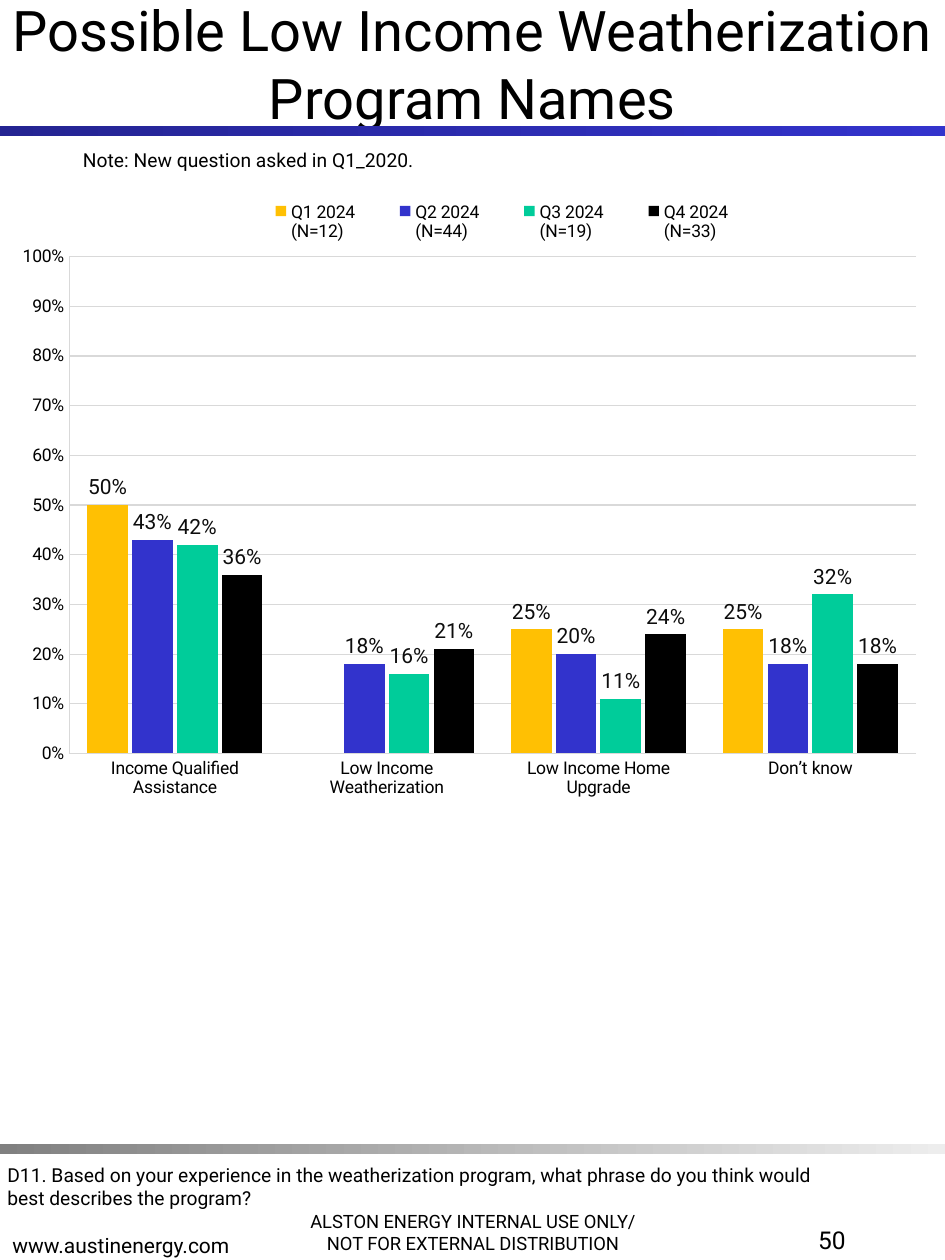
from pptx import Presentation
from pptx.chart.data import CategoryChartData
from pptx.dml.color import RGBColor
from pptx.enum.chart import XL_CHART_TYPE as ChartType
from pptx.enum.chart import XL_LABEL_POSITION as LabelPosition
from pptx.enum.chart import XL_LEGEND_POSITION as LegendPosition
from pptx.enum.chart import XL_TICK_MARK as TickMark
from pptx.enum.shapes import MSO_SHAPE as Shape
from pptx.enum.text import MSO_ANCHOR as Anchor
from pptx.enum.text import MSO_AUTO_SIZE as AutoSize
from pptx.enum.text import PP_ALIGN as Align
from pptx.oxml import parse_xml
from pptx.oxml.ns import nsdecls
from pptx.util import Inches, Pt

FONT = "Roboto"
COLORS = {
    "text": "000000", "label": "0D0D0D", "grid": "D9D9D9",
    "navy": "242492", "blue": "3333CC", "gray": "808080", "pale": "EDEDED",
    "Q1": "FFC003", "Q2": "3233CC", "Q3": "00CC9A", "Q4": "000000",
}


def style_font(font, size, color="text"):
    font.name = FONT
    font.size = Pt(size)
    font.color.rgb = RGBColor.from_string(COLORS[color])


def manual_layout(x, y, width, height, target=""):
    """Chart layout element, in fractions of the chart area."""
    return parse_xml(
        f'<c:layout {nsdecls("c")}><c:manualLayout>{target}'
        '<c:xMode val="edge"/><c:yMode val="edge"/>'
        f'<c:x val="{x}"/><c:y val="{y}"/><c:w val="{width}"/><c:h val="{height}"/>'
        '</c:manualLayout></c:layout>')


deck = Presentation()
deck.slide_width, deck.slide_height = Inches(7.5), Inches(10)
page = deck.slides.add_slide(deck.slide_layouts[5])

# Gradient rules under the title and above the footer
for top, start, end in [(1, "navy", "blue"), (9.08, "gray", "pale")]:
    rule = page.shapes.add_shape(Shape.RECTANGLE, 0, Inches(top), Inches(7.5), Inches(0.08))
    rule.shadow.inherit = False
    rule.line.fill.background()
    rule.fill.gradient()
    rule.fill.gradient_angle = 0
    for stop, color in zip(rule.fill.gradient_stops, (start, end)):
        stop.color.rgb = RGBColor.from_string(COLORS[color])

# Title
title = page.shapes.title
title.left, title.top, title.width, title.height = 0, 0, Inches(7.5), Inches(1)
title.text_frame.word_wrap = True
title.text_frame.auto_size = AutoSize.NONE
title.text_frame.vertical_anchor = Anchor.MIDDLE
para = title.text_frame.paragraphs[0]
para.alignment = Align.CENTER
span = para.add_run()
span.text = "Possible Low Income Weatherization Program Names"
style_font(span.font, 32)

# Footer, page number, question and note
texts = [
    (2.16, 9.33, 3.19, 0.67, 10.5, Align.CENTER, Anchor.BOTTOM,
     ["ALSTON ENERGY INTERNAL USE ONLY/", "NOT FOR EXTERNAL DISTRIBUTION"]),
    (0, 9.36, 3.19, 0.67, 12, Align.LEFT, Anchor.BOTTOM, ["www.austinenergy.com"]),
    (5.25, 9.67, 1.56, 0.67, 14, Align.RIGHT, Anchor.TOP, ["50"]),
    (-0.04, 9.18, 6.85, 0.47, 11, Align.LEFT, Anchor.TOP,
     ["D11. Based on your experience in the weatherization program, "
      "what phrase do you think would best describes the program?"]),
    (0.56, 1.13, 6.44, 0.29, 11, Align.LEFT, Anchor.TOP,
     ["Note: New question asked in Q1_2020."]),
]
for left, top, width, height, size, align, anchor, lines in texts:
    box = page.shapes.add_textbox(Inches(left), Inches(top), Inches(width), Inches(height))
    frame = box.text_frame
    frame.word_wrap = True
    frame.vertical_anchor = anchor
    for index, line in enumerate(lines):
        para = frame.add_paragraph() if index else frame.paragraphs[0]
        para.alignment = align
        span = para.add_run()
        span.text = line
        style_font(span.font, size)

# Chart data
quarters = [
    ("Q1", 12, (0.5, None, 0.25, 0.25)),
    ("Q2", 44, (0.43, 0.18, 0.2, 0.18)),
    ("Q3", 19, (0.42, 0.16, 0.11, 0.32)),
    ("Q4", 33, (0.36, 0.21, 0.24, 0.18)),
]
data = CategoryChartData(number_format="0%")
data.categories = ["Income Qualified Assistance", "Low Income Weatherization",
                   "Low Income Home Upgrade", "Don’t know"]
for quarter, count, values in quarters:
    data.add_series(f"{quarter} 2024\n(N={count})", values)

# Column chart
chart = page.shapes.add_chart(ChartType.COLUMN_CLUSTERED, Inches(0.03), Inches(1.13),
                              Inches(7.39), Inches(5.5), data).chart
style_font(chart.font, 10)
chart.has_title = False
plot = chart.plots[0]
plot.gap_width, plot.overlap = 90, -10
plot.vary_by_categories = False
for series, (quarter, count, values) in zip(plot.series, quarters):
    series.format.fill.solid()
    series.format.fill.fore_color.rgb = RGBColor.from_string(COLORS[quarter])
    labels = series.data_labels
    labels.show_value = True
    labels.position = LabelPosition.OUTSIDE_END
    labels.number_format, labels.number_format_is_linked = "0%", False
    style_font(labels.font, 12, "label")

# Axes and gridlines
value_axis = chart.value_axis
value_axis.minimum_scale, value_axis.maximum_scale, value_axis.major_unit = 0, 1, 0.1
value_axis.tick_labels.number_format = "0%"
value_axis.tick_labels.number_format_is_linked = False
for axis in (chart.category_axis, value_axis):
    axis.major_tick_mark = axis.minor_tick_mark = TickMark.NONE
    style_font(axis.tick_labels.font, 10)
for line, width in [(chart.category_axis.format.line, 0.62), (value_axis.format.line, 0.41),
                    (value_axis.major_gridlines.format.line, 0.62)]:
    line.color.rgb = RGBColor.from_string(COLORS["grid"])
    line.width = Pt(width)

# Legend and plot placement
chart.has_legend = True
legend = chart.legend
legend.position = LegendPosition.TOP
legend.include_in_layout = False
style_font(legend.font, 10)
for old in legend._element.xpath("c:layout") + chart._chartSpace.xpath("c:chart/c:plotArea/c:layout"):
    old.getparent().remove(old)
legend._element.xpath("c:legendPos")[0].addnext(manual_layout(0.25, 0.08, 0.57, 0.07))
plot_area = chart._chartSpace.xpath("c:chart/c:plotArea")[0]
plot_area.insert(0, manual_layout(0.07, 0.165, 0.91, 0.717, '<c:layoutTarget val="inner"/>'))

deck.save("out.pptx")
